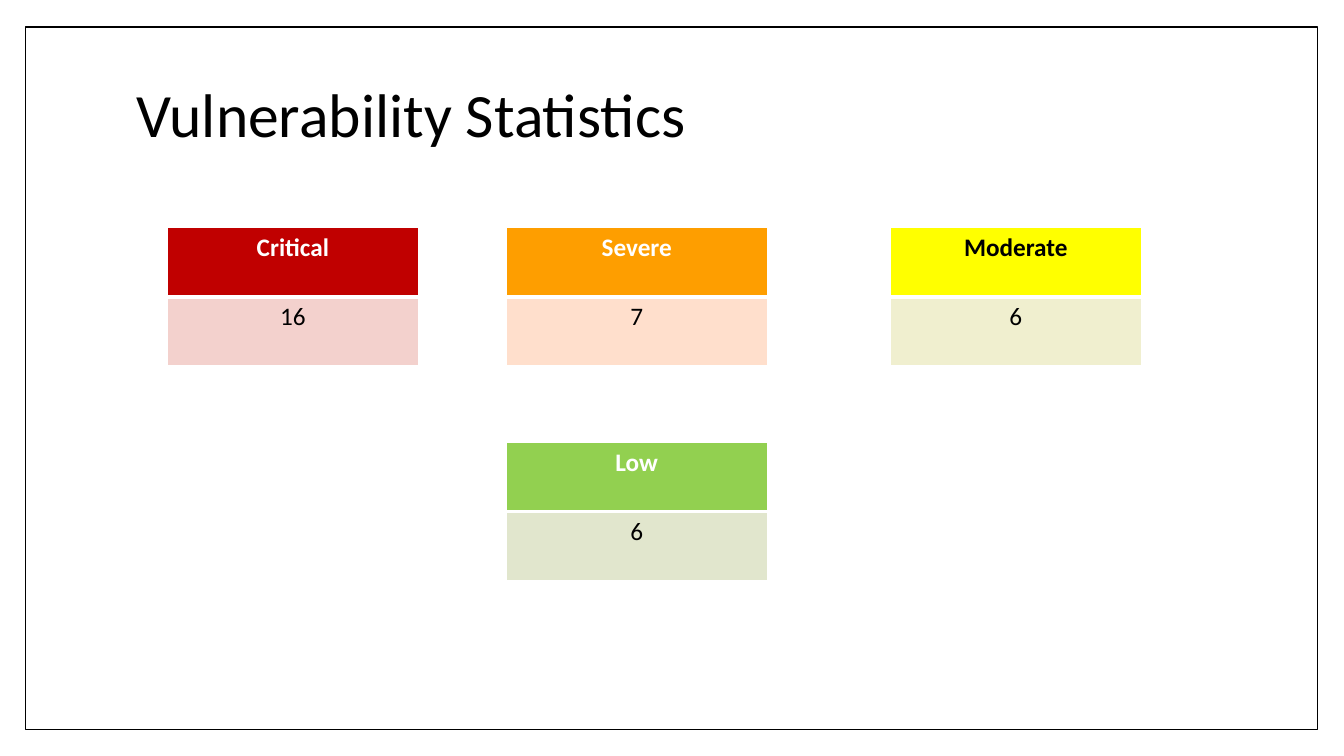
from pptx import Presentation
from pptx.dml.color import RGBColor
from pptx.enum.shapes import MSO_SHAPE
from pptx.enum.text import MSO_ANCHOR, PP_ALIGN
from pptx.oxml.ns import qn
from pptx.util import Inches, Pt
from lxml import etree

FONT = "Calibri"
ROW_HEIGHT = 0.685
TOP_ROW, BOTTOM_ROW = 2.26, 4.39

# label, count, left, top, width, header fill, header text, count fill
SEVERITIES = [
    ("Critical", "16", 1.66, TOP_ROW, 2.49, "C00000", "FFFFFF", "F3D1CD"),
    ("Severe", "7", 5.02, TOP_ROW, 2.59, "FE9E00", "FFFFFF", "FFDFCC"),
    ("Moderate", "6", 8.83, TOP_ROW, 2.49, "FFFF00", "000000", "F0EFCF"),
    ("Low", "6", 5.02, BOTTOM_ROW, 2.59, "92D050", "FFFFFF", "E1E6CD"),
]


def color(value):
    return RGBColor.from_string(value)


def style_paragraph(paragraph, size, text_color, bold, alignment):
    paragraph.alignment = alignment
    font = paragraph.font
    font.name, font.size, font.bold = FONT, Pt(size), bold
    font.color.rgb = color(text_color)


def add_frame(slide, left, top, width, height):
    frame = slide.shapes.add_shape(MSO_SHAPE.RECTANGLE, Inches(left), Inches(top),
                                   Inches(width), Inches(height))
    frame.shadow.inherit = False
    frame.fill.solid()
    frame.fill.fore_color.rgb = color("FFFFFF")
    frame.line.color.rgb = color("000000")
    frame.line.width = Pt(1)
    # Send the frame behind the title
    slide.shapes._spTree.insert(2, frame._element)


def set_title(slide, text, left, top, width, height):
    title = slide.shapes.title
    title.left, title.top = Inches(left), Inches(top)
    title.width, title.height = Inches(width), Inches(height)
    title.text_frame.text = text
    title.text_frame.vertical_anchor = MSO_ANCHOR.MIDDLE
    paragraph = title.text_frame.paragraphs[0]
    paragraph.line_spacing = 0.9
    style_paragraph(paragraph, 44, "000000", False, PP_ALIGN.LEFT)


def set_borders(cell, widths):
    properties = cell._tc.get_or_add_tcPr()
    for side, width in widths.items():
        line = etree.SubElement(properties, qn(f"a:ln{side}"), w=str(Pt(width)))
        fill = etree.SubElement(line, qn("a:solidFill"))
        etree.SubElement(fill, qn("a:srgbClr"), val="FFFFFF")


def fill_cell(cell, text, fill, text_color, bold, borders):
    set_borders(cell, borders)
    cell.fill.solid()
    cell.fill.fore_color.rgb = color(fill)
    cell.text = text
    style_paragraph(cell.text_frame.paragraphs[0], 18, text_color, bold, PP_ALIGN.CENTER)


def add_severity_table(slide, label, count, left, top, width,
                       header_fill, header_color, count_fill):
    table = slide.shapes.add_table(2, 1, Inches(left), Inches(top), Inches(width),
                                   Inches(2 * ROW_HEIGHT)).table
    fill_cell(table.cell(0, 0), label, header_fill, header_color, True,
              {"L": 1, "R": 1, "T": 1, "B": 3})
    fill_cell(table.cell(1, 0), count, count_fill, "000000", False,
              {"L": 1, "R": 1, "T": 3, "B": 1})


def main():
    presentation = Presentation()
    presentation.slide_width, presentation.slide_height = Inches(13.33), Inches(7.5)
    slide = presentation.slides.add_slide(presentation.slide_layouts[5])
    add_frame(slide, 0.25, 0.27, 12.82, 6.97)
    set_title(slide, "Vulnerability Statistics", 1.25, 0.67, 10.8, 0.99)
    for severity in SEVERITIES:
        add_severity_table(slide, *severity)
    presentation.save("out.pptx")


if __name__ == "__main__":
    main()
